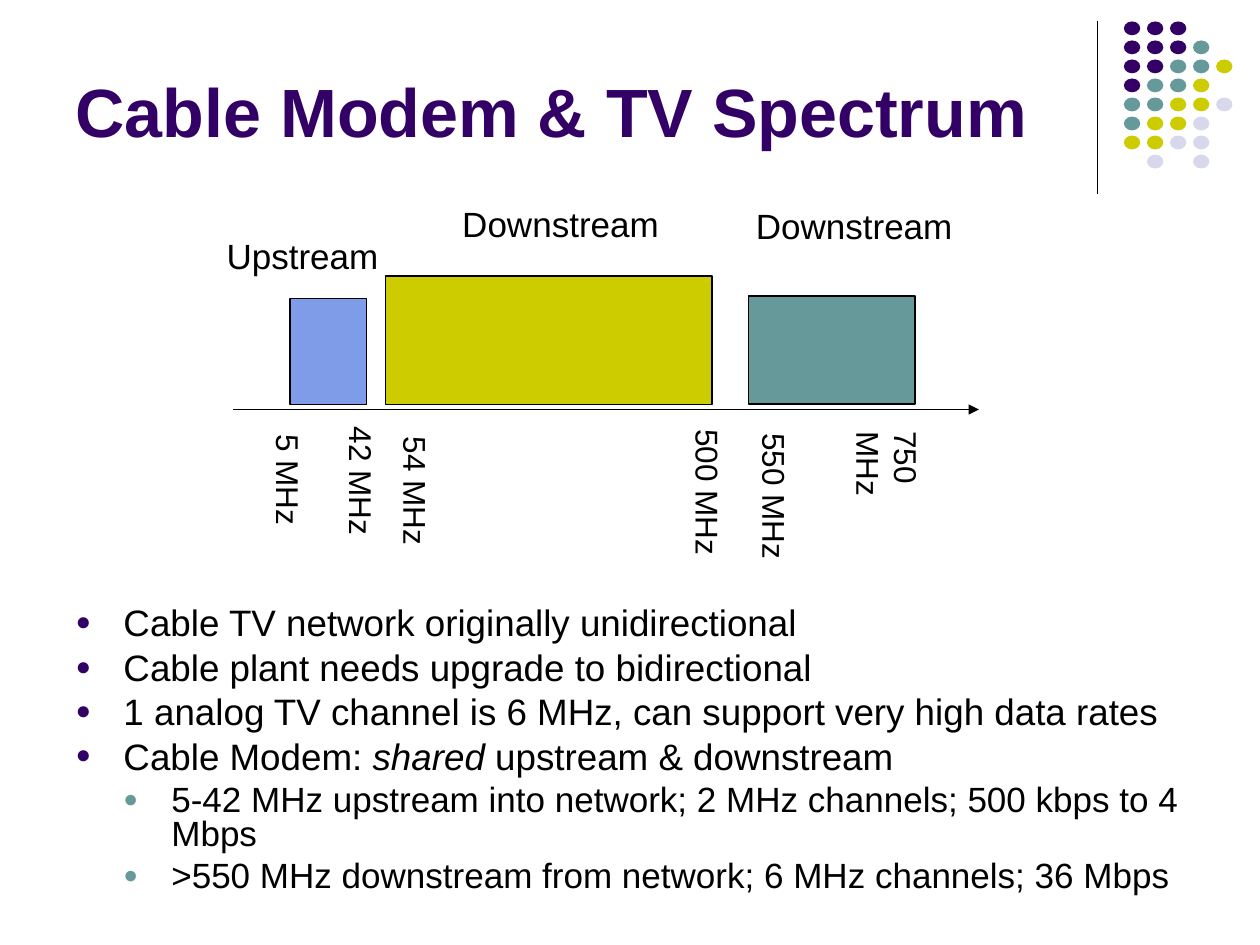
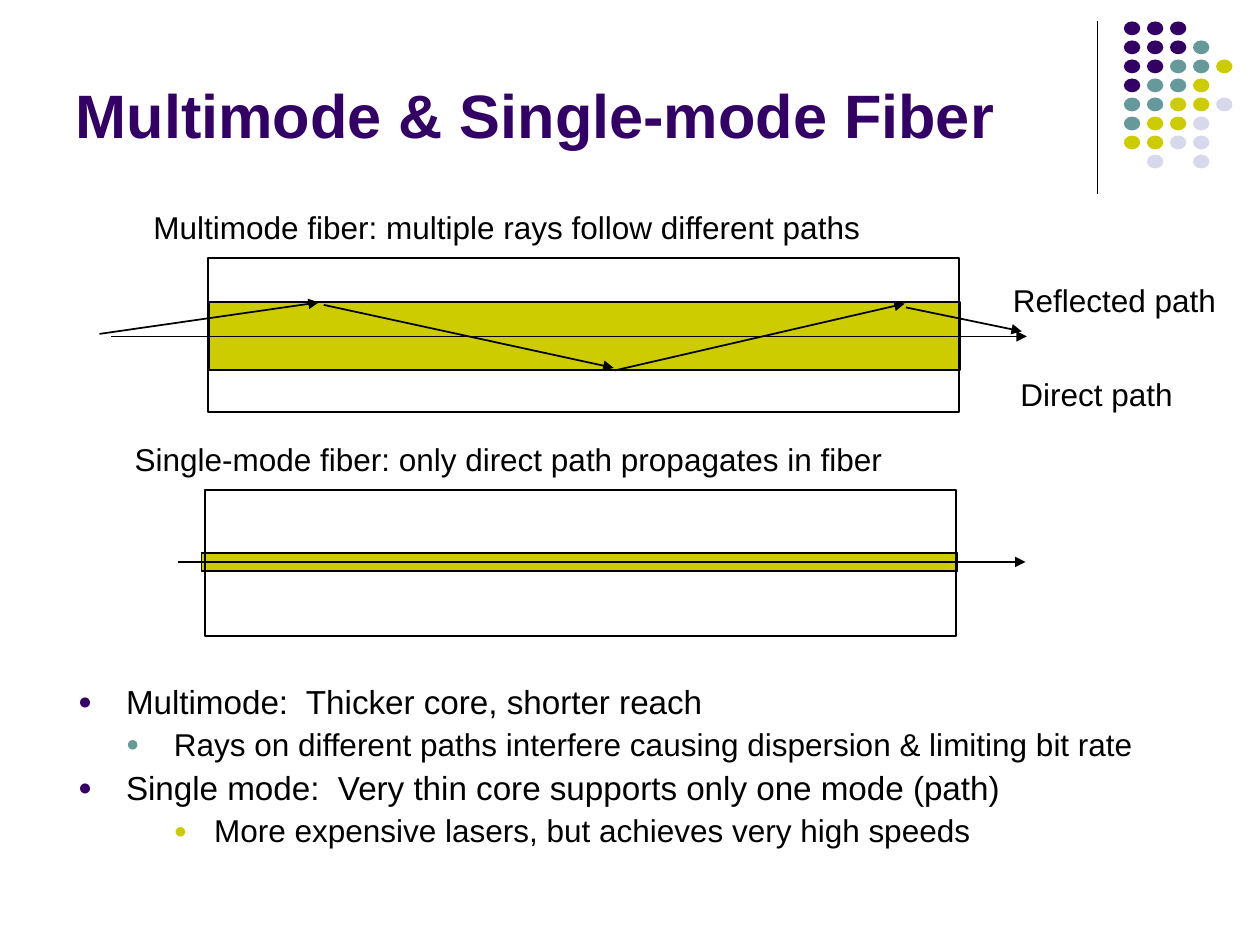
from collections import namedtuple
from lxml.etree import SubElement as Sub
from pptx import Presentation
from pptx.dml.color import RGBColor as Rgb
from pptx.enum.shapes import MSO_CONNECTOR as Conn, MSO_SHAPE as Kind
from pptx.enum.text import MSO_ANCHOR as Anchor, MSO_AUTO_SIZE as Fit, PP_ALIGN as Align
from pptx.oxml.ns import qn
from pptx.util import Inches, Pt

COLORS = {
    "ink": "000000",
    "plum": "330066",
    "teal": "669999",
    "lime": "CCCC00",
    "mist": "D8D8EC",
    "blue": "7E9CE8",
}
FONT = "Arial"
WIDE, HIGH = 10, 7.5
COL, ROW = Inches(WIDE) / 100, Inches(HIGH) / 75
Box = namedtuple("Box", "x y w h")

DOTS = ["PPP", "PPPT", "PPTTY", "PTTY", "TTYYL", "TYYL", "YYLL", " L L"]
DOT_HUES = {"P": "plum", "T": "teal", "Y": "lime", "L": "mist"}
LEVELS = [("plum", 0.38, 0.38), ("teal", 0.76, 0.38), ("lime", 1.08, 0.32)]


def rgb(name):
    return Rgb.from_string(COLORS[name])


def inner(box, x, y, w=0, h=0):
    return Box(box.x + x, box.y + y, w, h)


def emu(box):
    return [int(n * unit) for n, unit in zip(box, (COL, ROW, COL, ROW))]


def write(para, text, size=18, color="ink", bold=False, align=Align.LEFT):
    para.alignment = align
    for i, part in enumerate(text.split("*")):
        if part:
            run = para.add_run()
            run.text = part
            font = run.font
            font.name, font.size = FONT, Pt(size)
            font.bold, font.italic = bold, i % 2 == 1
            font.color.rgb = rgb(color)


def shape(slide, box, kind=Kind.RECTANGLE, fill=None, line="ink"):
    item = slide.shapes.add_shape(kind, *emu(box))
    item.shadow.inherit = False
    if fill:
        item.fill.solid()
        item.fill.fore_color.rgb = rgb(fill)
    else:
        item.fill.background()
    if line:
        item.line.color.rgb = rgb(line)
        item.line.width = Pt(1)
    else:
        item.line.fill.background()


def rule(slide, start, end, width=1, arrow=True):
    ends = emu(Box(*start, *end))
    item = slide.shapes.add_connector(Conn.STRAIGHT, *ends)
    item.line.color.rgb = rgb("ink")
    item.line.width = Pt(width)
    props = item._element.spPr
    if arrow:
        Sub(props.find(qn("a:ln")), qn("a:tailEnd"), type="triangle")
    Sub(props, qn("a:effectLst"))


def label(slide, box, text, turn=0, wrap=False, **style):
    item = slide.shapes.add_textbox(*emu(box))
    item.rotation = turn
    frame = item.text_frame
    frame.word_wrap = wrap
    frame.auto_size = Fit.SHAPE_TO_FIT_TEXT
    write(frame.paragraphs[0], text, **style)


def place(item, box):
    item.left, item.top, item.width, item.height = emu(box)
    frame = item.text_frame
    frame.auto_size = Fit.NONE
    frame.word_wrap = True
    return frame


def title(slide, text, size):
    frame = place(slide.shapes.title, Box(5, 1.3, 82.5, 11.2))
    frame.vertical_anchor = Anchor.BOTTOM
    write(frame.paragraphs[0], text, size=size, color="plum", bold=True)


def bullet(para, level):
    hue, left, hang = LEVELS[level]
    para.level = level
    props = para._p.get_or_add_pPr()
    props.set("marL", str(Inches(left)))
    props.set("indent", str(-Inches(hang)))
    Sub(Sub(props, qn("a:buClr")), qn("a:srgbClr"), val=COLORS[hue])
    Sub(props, qn("a:buSzPct"), val="70000")
    Sub(props, qn("a:buFont"), typeface=FONT)
    Sub(props, qn("a:buChar"), char="●")


def body(slide, box, items, size, pitch):
    frame = place(slide.placeholders[1], box)
    frame.vertical_anchor = Anchor.TOP
    for i, (level, text) in enumerate(items):
        para = frame.add_paragraph() if i else frame.paragraphs[0]
        points = size - 1 if level else size
        para.line_spacing = pitch
        para.space_before = Pt(points / 4)
        bullet(para, level)
        write(para, text, size=points)


def corner(slide, box):
    rule(slide, (box.x, box.y), (box.x, box.y + box.h), width=0.75, arrow=False)
    for r, row in enumerate(DOTS):
        for c, key in enumerate(row):
            if key in DOT_HUES:
                spot = inner(box, 2.1 + c * 1.83, r * 1.51, 1.3, 1.1)
                shape(slide, spot, Kind.OVAL, fill=DOT_HUES[key], line=None)


def page(deck, name, size):
    slide = deck.slides.add_slide(deck.slide_layouts[1])
    corner(slide, Box(87.1, 1.7, 10.7, 13.7))
    title(slide, name, size)
    return slide


def spectrum(slide, box):
    base = 16.5
    axis = inner(box, 1.5, 16.9)
    rule(slide, axis[:2], (axis.x + 59.2, axis.y))
    bands = [(6, 6.1, 8.4, "blue"), (13.6, 25.9, 10.2, "lime"), (42.4, 13.2, 8.6, "teal")]
    for x, w, h, fill in bands:
        shape(slide, inner(box, x, base - h, w, h), fill=fill)
    names = [("Upstream", 0, 2.5, 14.3), ("Downstream", 18.7, 0, 17.8), ("Downstream", 42, 0.1, 17.8)]
    for text, x, y, w in names:
        label(slide, inner(box, x, y, w, 4.3), text, size=20)
    marks = [
        (5, 5.9, 22.5, 9.2, 4),
        (42, 11.7, 22.6, 10.6, 4),
        (54, 16, 23.4, 10.6, 4),
        (500, 39.2, 23.5, 12, 4),
        (550, 44.5, 23.8, 12, 4),
        (750, 53.45, 23.4, 11.5, 7),
    ]
    for freq, x, y, w, h in marks:
        spot = inner(box, x - w / 2, y - h / 2, w, h)
        label(slide, spot, f"{freq} MHz", turn=90, wrap=h > 4)


def fiber(slide, box, caption, core, rays, notes=()):
    text, x, w = caption
    label(slide, inner(box, x, -4.5, w, 4), text)
    shape(slide, inner(box, *core), fill="lime")
    shape(slide, box)
    for x1, y1, x2, y2 in rays:
        rule(slide, inner(box, x1, y1)[:2], inner(box, x2, y2)[:2])
    for text, *spot in notes:
        label(slide, inner(box, *spot), text)


def cable(deck):
    slide = page(deck, "Cable Modem & TV Spectrum", 39)
    spectrum(slide, Box(17, 15.6, 63.4, 29))
    items = [
        (0, "Cable TV network originally unidirectional"),
        (0, "Cable plant needs upgrade to bidirectional"),
        (0, "1 analog TV channel is 6 MHz, can support very high data rates"),
        (0, "Cable Modem: *shared* upstream & downstream"),
        (1, "5-42 MHz upstream into network; 2 MHz channels; 500 kbps to 4 Mbps"),
        (1, ">550 MHz downstream from network; 6 MHz channels; 36 Mbps"),
    ]
    body(slide, Box(5, 47.8, 90, 24), items, 21, 0.8)


def modes(deck):
    slide = page(deck, "Multimode & Single-mode Fiber", 35)
    fiber(
        slide,
        Box(16.5, 20.5, 59.6, 12.2),
        ("Multimode fiber: multiple rays follow different paths", -5.3, 58.4),
        (0.1, 3.5, 59.6, 5.4),
        [
            (-8.6, 6, 8.8, 3.5),
            (9.2, 3.7, 32.2, 8.7),
            (32.3, 8.9, 55.3, 3.6),
            (55.4, 3.9, 64.6, 5.8),
            (-7.7, 6.2, 65, 6.2),
        ],
        [("Direct path", 63.5, 8.8, 14.3, 4), ("Reflected path", 62.9, 1.3, 18.3, 4)],
    )
    fiber(
        slide,
        Box(16.3, 38.9, 59.6, 11.6),
        ("Single-mode fiber: only direct path propagates in fiber", -6.6, 61.6),
        (-0.3, 5, 60, 1.4),
        [(-2.2, 5.7, 65.1, 5.7)],
    )
    items = [
        (0, "Multimode:  Thicker core, shorter reach"),
        (1, "Rays on different paths interfere causing dispersion & limiting bit rate"),
        (0, "Single mode:  Very thin core supports only one mode (path)"),
        (2, "More expensive lasers, but achieves very high speeds"),
    ]
    body(slide, Box(5.2, 53.9, 90, 15.3), items, 19, 0.9)


def main():
    deck = Presentation()
    deck.slide_width, deck.slide_height = Inches(WIDE), Inches(HIGH)
    cable(deck)
    modes(deck)
    deck.save("out.pptx")


if __name__ == "__main__":
    main()
